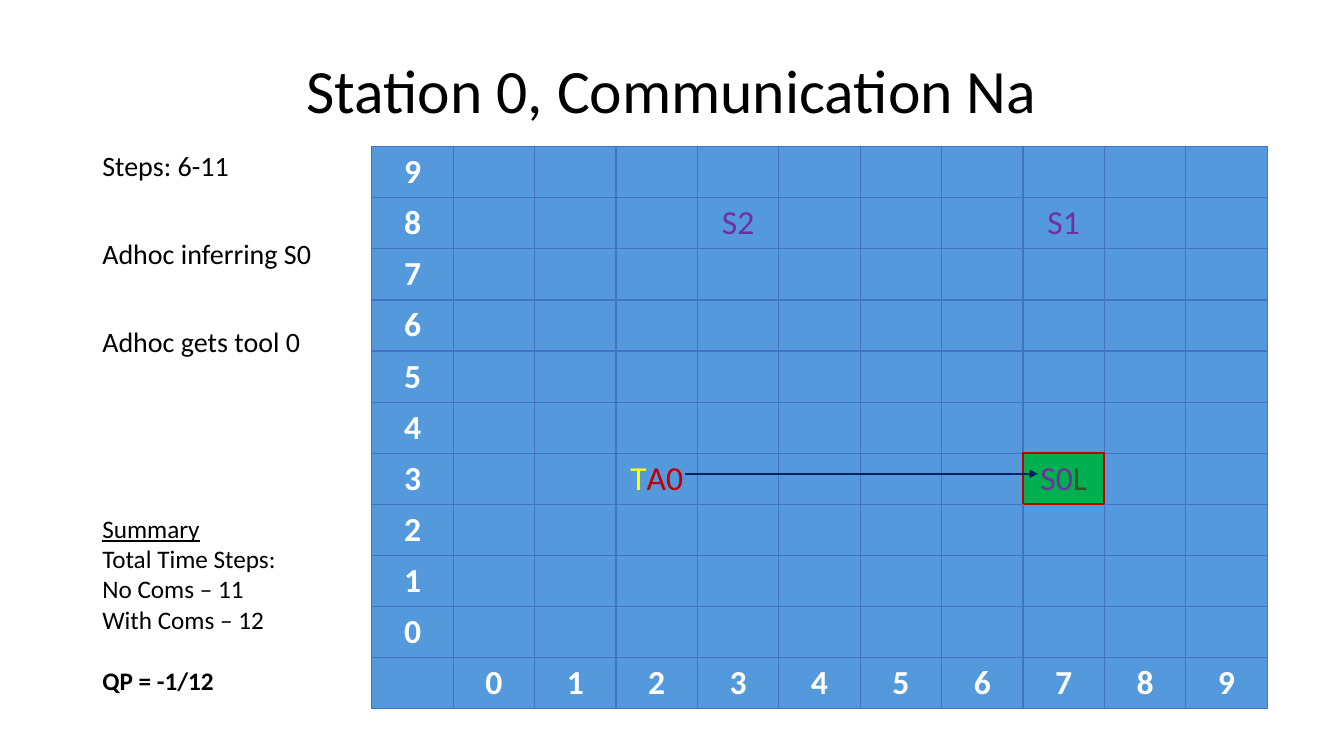
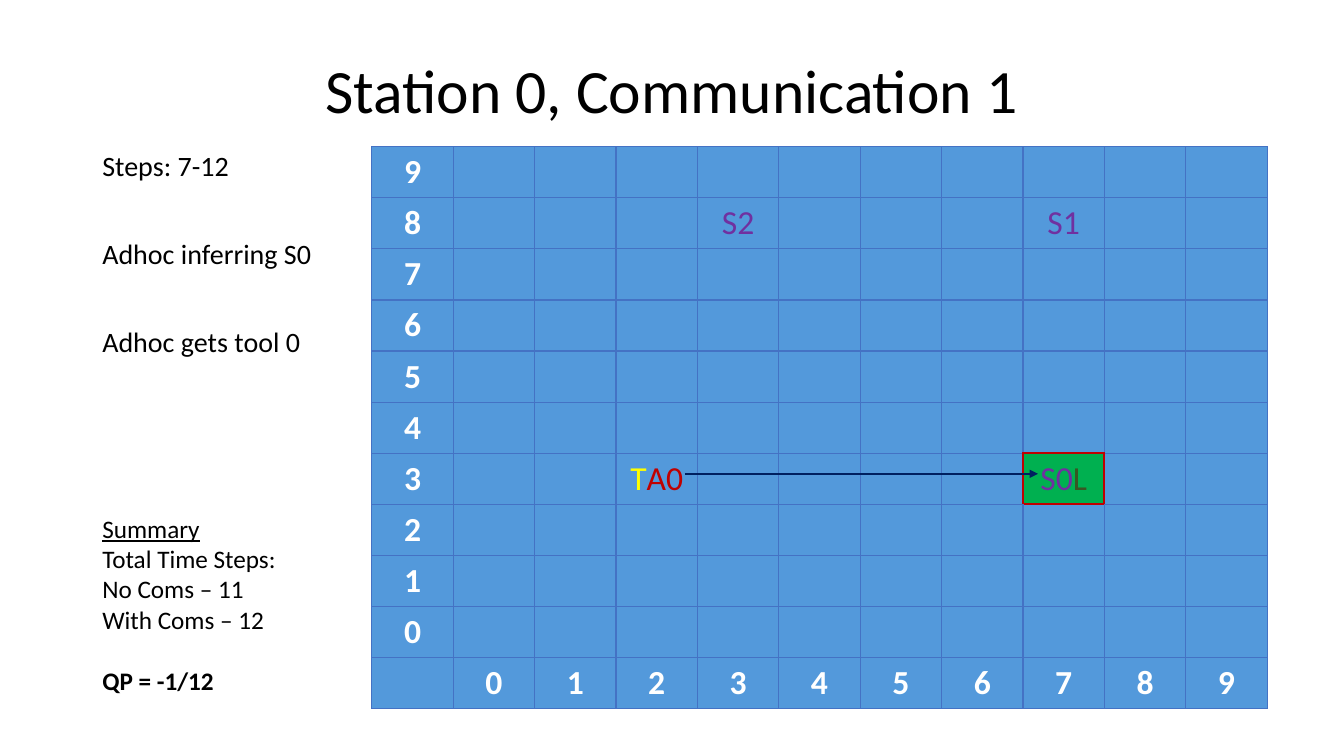
from lxml import etree
from pptx import Presentation
from pptx.dml.color import RGBColor
from pptx.enum import shapes, text
from pptx.oxml import ns
from pptx.util import Pt

COLORS = {
    "black": "000000", "white": "FFFFFF", "cell": "5399DB", "grid": "4472C4",
    "goal": "00B050", "red": "C00000", "station": "7030A0", "tool": "FFFF00",
    "load": "385723", "arrow": "002060",
}
FONT = "Calibri"
SIZE = 10  # squares per side of the map
GOAL = (7, 3)
AGENT = (2, 3)

# What stands on the map: (x, y) -> coloured pieces of text
MARKERS = {
    (3, 8): [("S2", "station")],
    (7, 8): [("S1", "station")],
    AGENT: [("T", "tool"), ("A0", "red")],
    GOAL: [("S0", "station"), ("L", "load")],
}
SUMMARY = ["Summary", "Total Time Steps:", "No Coms – 11", "With Coms – 12", "QP = -1/12"]

# Boxes as left, top, width, height
TITLE_BOX = (66, 28.8, 828, 76.2)
STEPS_BOX = (66, 105, 186.5, 258)
SUMMARY_BOX = (66, 363, 186.5, 138)
MAP_BOX = (265.6, 104.7, 639.8, 401.5)


def rgb(name):
    return RGBColor.from_string(COLORS[name])


def style_span(span, size, color="black", bold=False):
    span.font.name = FONT
    span.font.size = Pt(size)
    span.font.bold = bold
    span.font.color.rgb = rgb(color)


def add_text(page, box, lines, size):
    """Add a wrapping text box and return its frame."""
    frame = page.shapes.add_textbox(*map(Pt, box)).text_frame
    frame.word_wrap = True
    frame.text = "\n".join(lines)
    for para in frame.paragraphs:
        for span in para.runs:
            style_span(span, size)
    return frame


def add_title(page, box, title):
    frame = add_text(page, box, [title], 44)
    frame.vertical_anchor = text.MSO_ANCHOR.MIDDLE
    frame.paragraphs[0].alignment = text.PP_ALIGN.CENTER
    frame.paragraphs[0].line_spacing = 0.9


def add_steps(page, box, lines):
    frame = add_text(page, box, lines, 20)
    for index, para in enumerate(frame.paragraphs):
        para.line_spacing = 0.9
        para.space_before = Pt(41.5 if index else 10)


def add_summary(page, box):
    frame = add_text(page, box, SUMMARY, 18)
    heading, result = frame.paragraphs[0], frame.paragraphs[-1]
    heading.runs[0].font.underline = True
    result.runs[0].font.bold = True
    result.space_before = Pt(22)


def set_borders(cell, spot):
    """Draw the four edges; those shared with the goal square are red."""
    x, y = spot
    beyond = {"lnL": (x - 1, y), "lnR": (x + 1, y), "lnT": (x, y + 1), "lnB": (x, y - 1)}
    props = cell._tc.get_or_add_tcPr()
    for index, (edge, neighbour) in enumerate(beyond.items()):
        marked = GOAL in (spot, neighbour)
        line = etree.Element(ns.qn("a:" + edge), w=str(Pt(1.5 if marked else 1)))
        fill = etree.SubElement(line, ns.qn("a:solidFill"))
        etree.SubElement(fill, ns.qn("a:srgbClr"), val=COLORS["red" if marked else "grid"])
        props.insert(index, line)


def fill_cell(cell, spot):
    x, y = spot
    cell.fill.solid()
    cell.fill.fore_color.rgb = rgb("goal" if spot == GOAL else "cell")
    cell.vertical_anchor = text.MSO_ANCHOR.MIDDLE
    set_borders(cell, spot)

    # Column -1 and row -1 carry the axis numbers
    on_axis = (x < 0) != (y < 0)
    pieces = [(str(max(x, y)), "white")] if on_axis else MARKERS.get(spot, [])
    para = cell.text_frame.paragraphs[0]
    para.alignment = text.PP_ALIGN.CENTER
    for wording, color in pieces:
        span = para.add_run()
        span.text = wording
        style_span(span, 24, color, bold=on_axis)


def add_arrow(page, start, end):
    arrow = page.shapes.add_connector(
        shapes.MSO_CONNECTOR.STRAIGHT, *map(Pt, start + end))
    arrow.line.color.rgb = rgb("arrow")
    arrow.line.width = Pt(1.5)
    etree.SubElement(arrow.line._get_or_add_ln(), ns.qn("a:tailEnd"), type="triangle")
    etree.SubElement(arrow._element.spPr, ns.qn("a:effectLst"))


def add_map(page, box):
    left, top, width, height = box
    count = SIZE + 1
    column_width, row_height = width / count, height / count
    table = page.shapes.add_table(count, count, *map(Pt, box)).table
    table.first_row = table.horz_banding = False
    for column in table.columns:
        column.width = Pt(column_width)
    for row in table.rows:
        row.height = Pt(row_height)
    for row in range(count):
        for column in range(count):
            fill_cell(table.cell(row, column), (column - 1, SIZE - 1 - row))

    # Path from the agent to the goal
    level = top + (SIZE - 0.5 - GOAL[1]) * row_height - 3.5
    add_arrow(page, (left + (AGENT[0] + 1.5) * column_width + 20, level),
              (left + (GOAL[0] + 1) * column_width + 10.5, level))


def add_station_page(deck, communication, steps):
    page = deck.slides.add_slide(deck.slide_layouts[6])
    add_map(page, MAP_BOX)
    add_title(page, TITLE_BOX, f"Station 0, Communication {communication}")
    add_steps(page, STEPS_BOX,
              [f"Steps: {steps}", "Adhoc inferring S0", "Adhoc gets tool 0"])
    add_summary(page, SUMMARY_BOX)


deck = Presentation()
deck.slide_width, deck.slide_height = Pt(960), Pt(540)
for communication, steps in [("Na", "6-11"), ("1", "7-12")]:
    add_station_page(deck, communication, steps)
deck.save("out.pptx")
